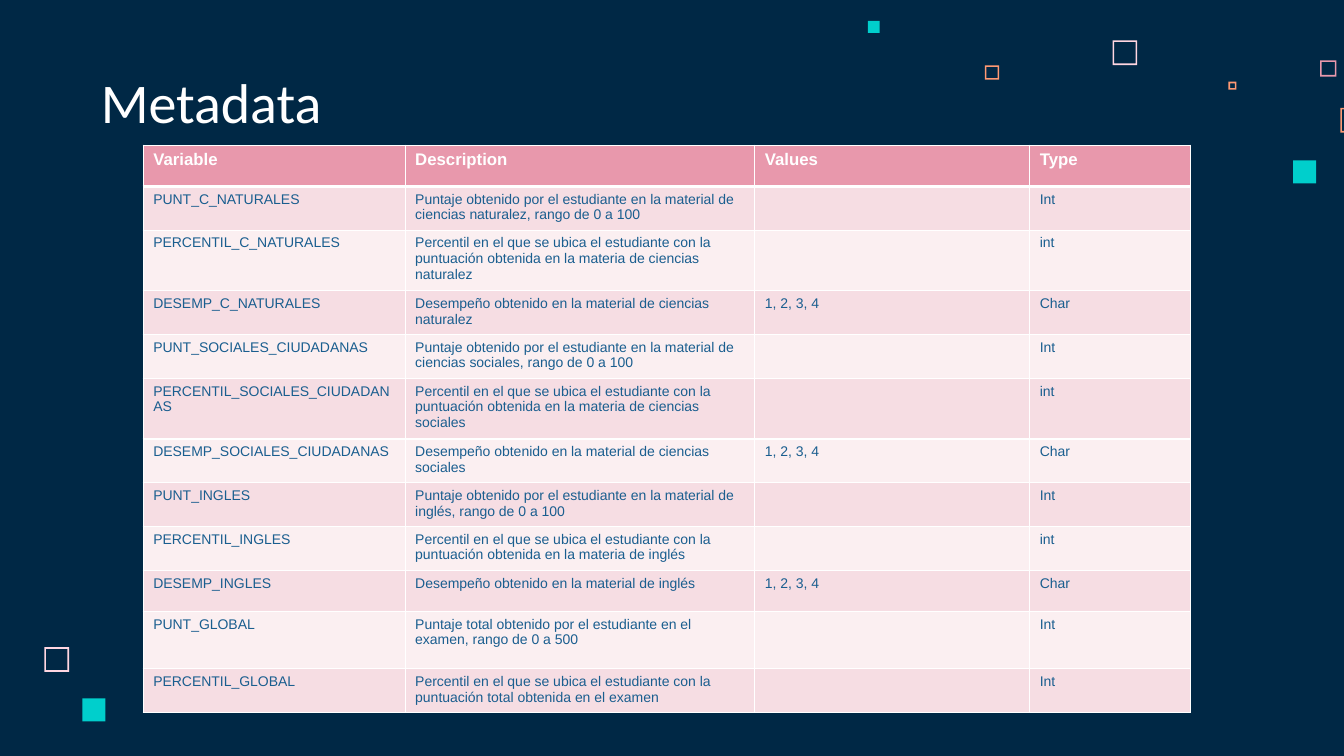
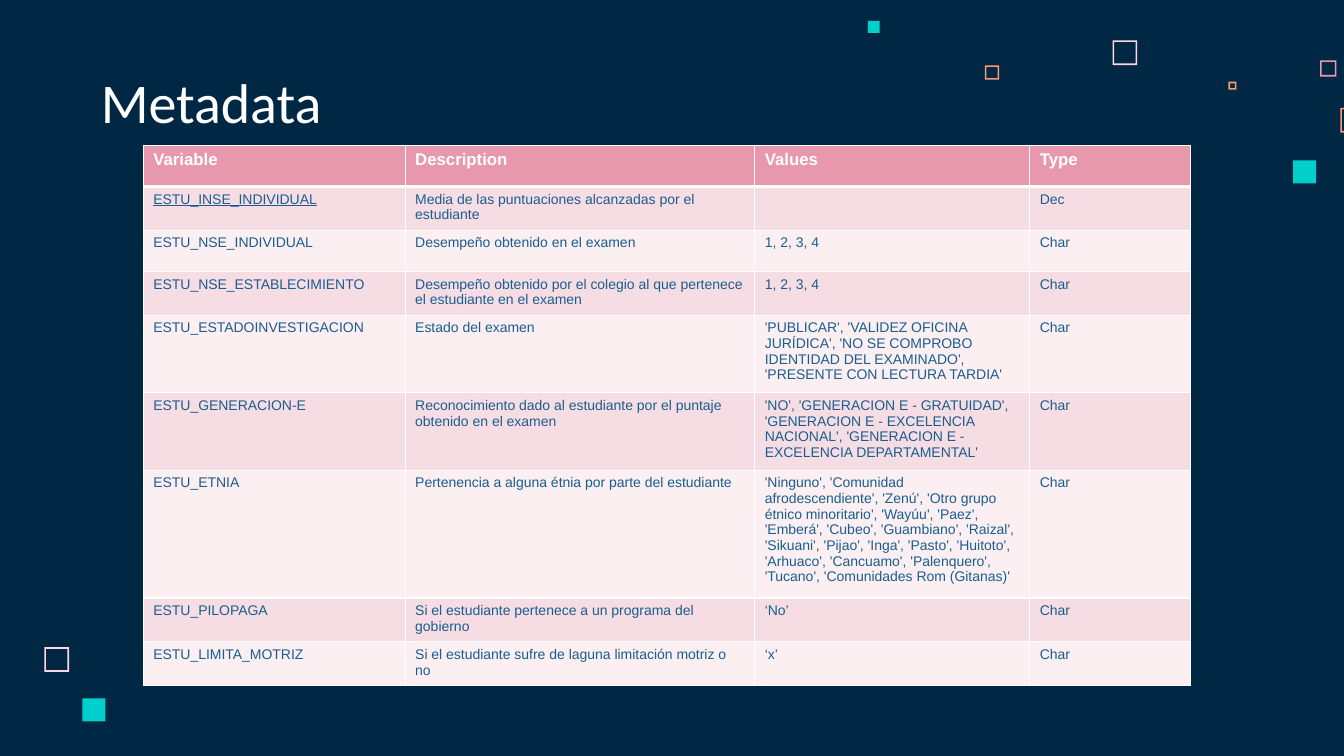
"""Build two slides that list the variables of a student exam data set."""
from lxml.etree import SubElement
from pptx import Presentation
from pptx.dml.color import RGBColor
from pptx.enum.shapes import MSO_SHAPE as Preset
from pptx.enum.text import MSO_ANCHOR as Anchor
from pptx.oxml.ns import qn
from pptx.util import Cm, Pt

NAVY = RGBColor(0x00, 0x28, 0x45)
WHITE = RGBColor(0xFF, 0xFF, 0xFF)
BLUE = RGBColor(0x1A, 0x5E, 0x8F)
ROSE = RGBColor(0xE8, 0x98, 0xAC)
BLUSH = RGBColor(0xFF, 0xD6, 0xE1)
ORANGE = RGBColor(0xFF, 0x99, 0x73)
TEAL = RGBColor(0x00, 0xCF, 0xCC)
ROW_FILLS = [RGBColor(0xFB, 0xEF, 0xF1), RGBColor(0xF6, 0xDD, 0xE3)]

FRAME_WIDTH = 0.04
FRAMES = [
    (28.04, 1.02, 0.62, BLUSH),
    (33.27, 1.52, 0.41, ROSE),
    (30.96, 2.06, 0.2, ORANGE),
    (33.78, 2.72, 0.62, ORANGE),
    (24.82, 1.65, 0.36, ORANGE),
    (1.12, 16.31, 0.62, BLUSH),
]
SQUARES = [(32.59, 4.04, 0.58, TEAL), (21.87, 0.53, 0.3, TEAL), (2.08, 17.6, 0.58, TEAL)]

COLUMN_WIDTHS = [6.6, 8.81, 6.93, 4.06]
ROW_HEIGHT = 1.04
TALL_ROWS = {"PUNT_GLOBAL": 1.44}
UNDERLINED = {"ESTU_INSE_INDIVIDUAL"}
HEADER = ("Variable", "Description", "Values", "Type")
LEVELS = "1, 2, 3, 4"

score_rows = []
for code, subject in [
    ("C_NATURALES", "ciencias naturalez"),
    ("SOCIALES_CIUDADANAS", "ciencias sociales"),
    ("INGLES", "inglés"),
]:
    score_rows += [
        (f"PUNT_{code}", "Puntaje obtenido por el estudiante en la material de "
         f"{subject}, rango de 0 a 100", "", "Int"),
        (f"PERCENTIL_{code}", "Percentil en el que se ubica el estudiante con la "
         f"puntuación obtenida en la materia de {subject}", "", "int"),
        (f"DESEMP_{code}", f"Desempeño obtenido en la material de {subject}", LEVELS, "Char"),
    ]
score_rows += [
    ("PUNT_GLOBAL", "Puntaje total obtenido por el estudiante en el examen, "
     "rango de 0 a 500", "", "Int"),
    ("PERCENTIL_GLOBAL", "Percentil en el que se ubica el estudiante con la "
     "puntuación total obtenida en el examen", "", "Int"),
]

student_rows = [
    ("ESTU_INSE_INDIVIDUAL", "Media de las puntuaciones alcanzadas por el estudiante", "", "Dec"),
    ("ESTU_NSE_INDIVIDUAL", "Desempeño obtenido en el examen", LEVELS, "Char"),
    ("ESTU_NSE_ESTABLECIMIENTO", "Desempeño obtenido por el colegio al que pertenece "
     "el estudiante en el examen", LEVELS, "Char"),
    ("ESTU_ESTADOINVESTIGACION", "Estado del examen",
     "'PUBLICAR', 'VALIDEZ OFICINA JURÍDICA', 'NO SE COMPROBO IDENTIDAD DEL EXAMINADO', "
     "'PRESENTE CON LECTURA TARDIA'", "Char"),
    ("ESTU_GENERACION-E", "Reconocimiento dado al estudiante por el puntaje obtenido en el examen",
     "'NO', 'GENERACION E - GRATUIDAD', 'GENERACION E - EXCELENCIA NACIONAL', "
     "'GENERACION E - EXCELENCIA DEPARTAMENTAL'", "Char"),
    ("ESTU_ETNIA", "Pertenencia a alguna étnia por parte del estudiante",
     "'Ninguno', 'Comunidad afrodescendiente', 'Zenú', 'Otro grupo étnico minoritario', "
     "'Wayúu', 'Paez', 'Emberá', 'Cubeo', 'Guambiano', 'Raizal', 'Sikuani', 'Pijao', 'Inga', "
     "'Pasto', 'Huitoto', 'Arhuaco', 'Cancuamo', 'Palenquero', 'Tucano', "
     "'Comunidades Rom (Gitanas)'", "Char"),
    ("ESTU_PILOPAGA", "Si el estudiante pertenece a un programa del gobierno", "‘No’", "Char"),
    ("ESTU_LIMITA_MOTRIZ", "Si el estudiante sufre de laguna limitación motriz o no",
     "‘x’", "Char"),
]


def add_text(paragraph, text, font_name, size, color, bold=False):
    """Append one styled run and return it."""
    run = paragraph.add_run()
    run.text = text
    run.font.name = font_name
    run.font.size = Pt(size)
    run.font.bold = bold
    run.font.color.rgb = color
    return run


def style_cell(cell, fill, top, bottom):
    """Fill a cell and give it white borders, with top and bottom widths in points."""
    properties = cell._tc.get_or_add_tcPr()
    for side, width in [("lnL", 1), ("lnR", 1), ("lnT", top), ("lnB", bottom)]:
        border = SubElement(properties, qn(f"a:{side}"), w=str(Pt(width)))
        SubElement(SubElement(border, qn("a:solidFill")), qn("a:srgbClr"), val=str(WHITE))
    cell.fill.solid()
    cell.fill.fore_color.rgb = fill


prs = Presentation()
prs.slide_width = Cm(33.87)
prs.slide_height = Cm(19.05)
backdrop = prs.slide_master.background.fill
backdrop.solid()
backdrop.fore_color.rgb = NAVY

for variables in [score_rows, student_rows]:
    slide = prs.slides.add_slide(prs.slide_layouts[6])

    for preset, ornaments in [(Preset.FRAME, FRAMES), (Preset.RECTANGLE, SQUARES)]:
        for left, top, side, color in ornaments:
            ornament = slide.shapes.add_shape(preset, Cm(left), Cm(top), Cm(side), Cm(side))
            ornament.shadow.inherit = False
            ornament.fill.solid()
            ornament.fill.fore_color.rgb = color
            ornament.line.fill.background()
            if preset == Preset.FRAME:
                ornament.adjustments[0] = FRAME_WIDTH / side

    title = slide.shapes.add_textbox(Cm(2.29), Cm(1.52), Cm(17.5), Cm(2.13)).text_frame
    title.word_wrap = True
    title.vertical_anchor = Anchor.BOTTOM
    title.margin_left = title.margin_right = Cm(0.25)
    title.margin_top = title.margin_bottom = Cm(0.25)
    add_text(title.paragraphs[0], "Metadata", "Calibri", 40, WHITE)

    entries = [HEADER, *variables]
    metadata = slide.shapes.add_table(
        len(entries), len(HEADER), Cm(3.61), Cm(3.66),
        Cm(sum(COLUMN_WIDTHS)), Cm(ROW_HEIGHT * len(entries))).table
    for column, width in zip(metadata.columns, COLUMN_WIDTHS):
        column.width = Cm(width)

    for index, (row, entry) in enumerate(zip(metadata.rows, entries)):
        is_header = index == 0
        row.height = Cm(TALL_ROWS.get(entry[0], ROW_HEIGHT))
        fill = ROSE if is_header else ROW_FILLS[index % 2]
        size, color = (12, WHITE) if is_header else (10, BLUE)
        for cell, text in zip(row.cells, entry):
            style_cell(cell, fill, top=3 if index == 1 else 1, bottom=3 if is_header else 1)
            if text:
                run = add_text(cell.text_frame.paragraphs[0], text, "Arial", size, color, is_header)
                if text in UNDERLINED:
                    run.font.underline = True

prs.save("out.pptx")
